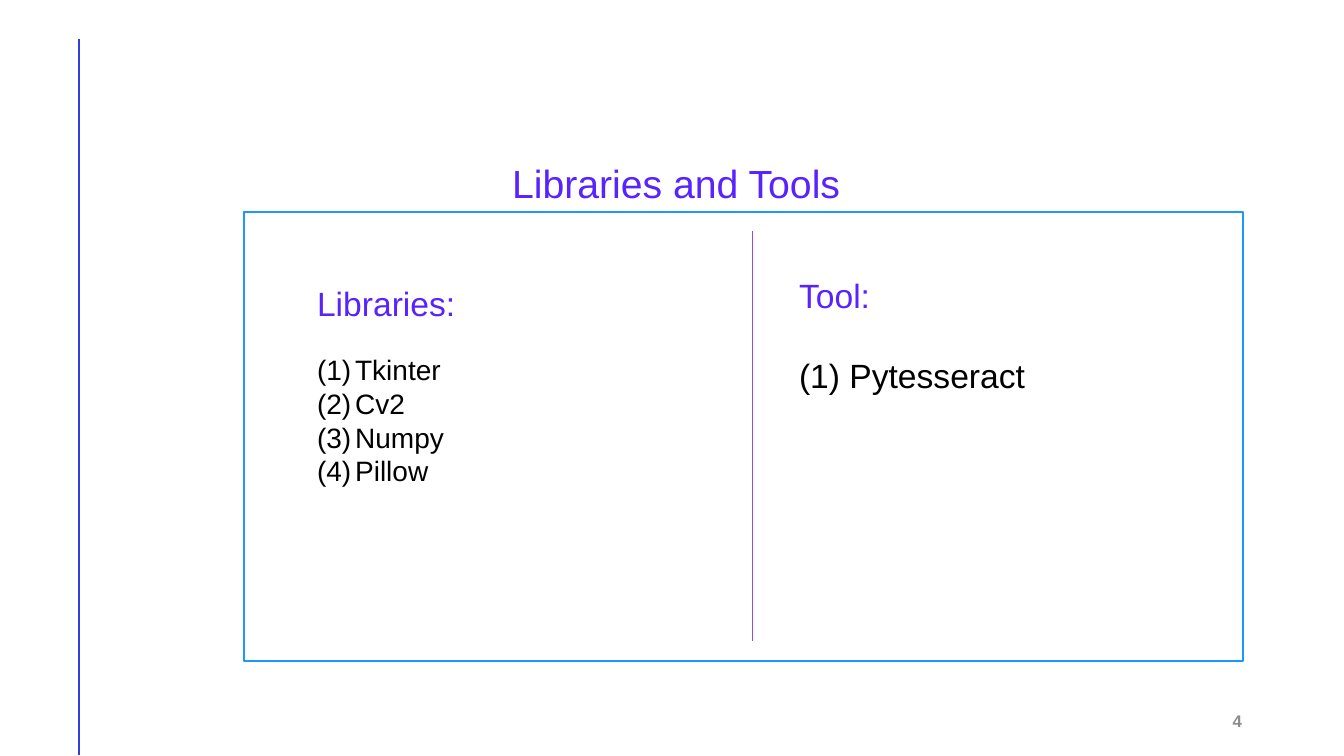
"""Build the slide that lists the libraries and the tool."""
from pptx import Presentation, util as u
from pptx.dml.color import RGBColor
from pptx.enum import shapes, text
from pptx.oxml.ns import qn
from lxml import etree

PX = u.Inches(1) / 100.8
WHITE = RGBColor(0xFF, 0xFF, 0xFF)
BLACK = RGBColor(0x00, 0x00, 0x00)
GREY = RGBColor(0x8C, 0x8C, 0x8C)
VIOLET = RGBColor(0x58, 0x23, 0xFC)
DIVIDER = RGBColor(0x81, 0x4D, 0xFF)
SKY = RGBColor(0x1A, 0x98, 0xFF)
BLUE = RGBColor(0x2D, 0x40, 0xE6)


def place(shape, left, top, width, height):
    """Set the place of a shape in px and fit its text frame."""
    shape.left, shape.top = round(left * PX), round(top * PX)
    shape.width, shape.height = round(width * PX), round(height * PX)
    frame = shape.text_frame
    frame.word_wrap = True
    frame.auto_size = text.MSO_AUTO_SIZE.NONE
    frame.vertical_anchor = text.MSO_ANCHOR.TOP
    return frame


def write(paragraph, words, size, color, gap=0):
    """Add one formatted run to a paragraph, with a gap above in points."""
    paragraph.alignment = text.PP_ALIGN.LEFT
    paragraph.space_before = u.Pt(gap)
    run = paragraph.add_run()
    run.text = words
    run.font.name = "Arial"
    run.font.size = u.Pt(size)
    run.font.color.rgb = color
    return run


presentation = Presentation()
presentation.slide_width = round(1344 * PX)
presentation.slide_height = round(756 * PX)
slide = presentation.slides.add_slide(presentation.slide_layouts[3])
title, libraries, tools = slide.placeholders

panel = slide.shapes.add_shape(
    shapes.MSO_SHAPE.RECTANGLE, *(round(length * PX) for length in (244, 212, 999, 449)))
panel.shadow.inherit = False
panel.fill.solid()
panel.fill.fore_color.rgb = WHITE
panel.line.color.rgb = SKY
panel.line.width = u.Pt(1)
title.element.addprevious(panel.element)

for x, top, bottom, color, weight in ((79, 39, 755, BLUE, 2), (752, 231, 641, DIVIDER, 0.5)):
    line = slide.shapes.add_connector(
        shapes.MSO_CONNECTOR.STRAIGHT, *(round(length * PX) for length in (x, top, x, bottom)))
    line.line.color.rgb = color
    line.line.width = u.Pt(weight)
    etree.SubElement(line.element.spPr, qn("a:effectLst"))

write(place(title, 502, 154, 416, 57).paragraphs[0], "Libraries and Tools", 28, VIOLET)

columns = (
    (libraries, (307, 278, 274, 248), "Libraries:", ("Tkinter", "Cv2", "Numpy", "Pillow"), 20, 21, True),
    (tools, (789, 270, 287, 132), "Tool:", ("(1) Pytesseract",), 24, 28, False),
)
for body, box, heading, items, size, gap, numbered in columns:
    frame = place(body, *box)
    write(frame.paragraphs[0], heading, 24, VIOLET)
    for index, item in enumerate(items):
        write(frame.add_paragraph(), item, size, BLACK, 0 if index else gap)
    for index, paragraph in enumerate(frame.paragraphs):
        properties = paragraph._p.get_or_add_pPr()
        indent = round(38 * PX) if numbered and index else 0
        properties.set("marL", str(indent))
        properties.set("indent", str(-indent))
        if indent:
            etree.SubElement(properties, qn("a:buAutoNum"), type="arabicParenBoth")
        else:
            etree.SubElement(properties, qn("a:buNone"))

number = place(slide.shapes.add_textbox(0, 0, 0, 0), 950, 701, 302, 40)
number.vertical_anchor = text.MSO_ANCHOR.MIDDLE
write(number.paragraphs[0], "4", 12, GREY).font.bold = True
number.paragraphs[0].alignment = text.PP_ALIGN.RIGHT

presentation.save("out.pptx")
